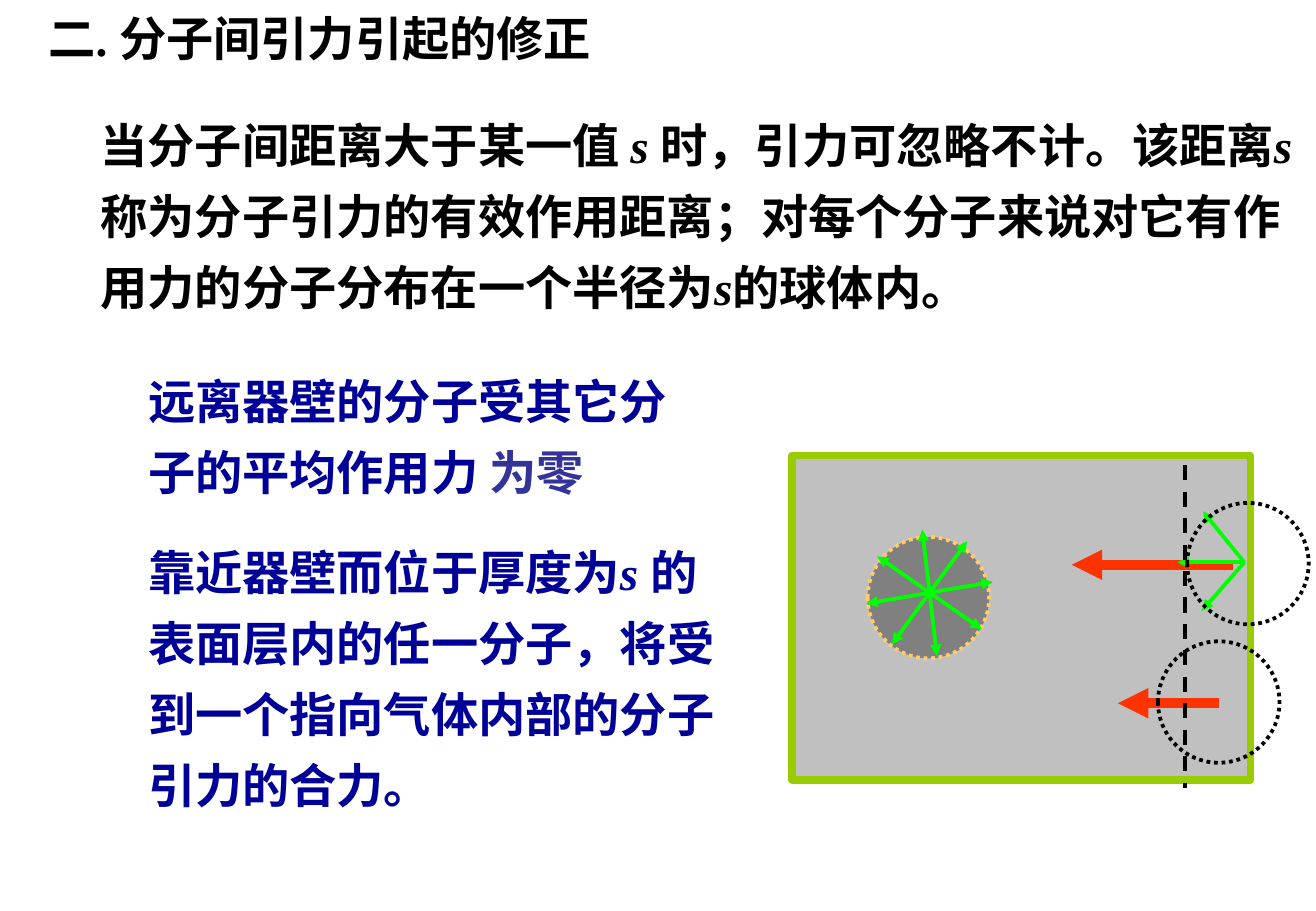
from dataclasses import dataclass

from lxml.etree import SubElement
from pptx import Presentation
from pptx.dml.color import RGBColor
from pptx.enum.dml import MSO_LINE
from pptx.enum.shapes import MSO_CONNECTOR, MSO_SHAPE
from pptx.enum.text import PP_ALIGN
from pptx.oxml.ns import qn
from pptx.util import Inches, Pt


@dataclass(frozen=True)
class Theme:
    latin: str = "Times New Roman"
    cjk: str = "Noto Sans CJK SC"
    size: float = 28
    leading: float = 1.25
    ink: str = "000000"
    navy: str = "000099"
    indigo: str = "333399"
    gas: str = "C0C0C0"
    wall: str = "99CC00"
    sphere: str = "808080"
    gold: str = "FFCC66"
    force: str = "00FF00"
    resultant: str = "FF3300"
    thin: float = 2.25
    frame: float = 4.5
    thick: float = 6


T = Theme()
CELL = 0.5  # inches; one cell is the radius of a sphere of action
COLS, ROWS = 21.66, 15


def cells(*lengths):
    return [Inches(n * CELL) for n in lengths]


def add_text(s, box, runs, color=T.ink, leading=T.leading):
    """Each run is (text, format), where format may hold italic and color."""
    tf = s.shapes.add_textbox(*cells(*box)).text_frame
    tf.word_wrap = True
    p = tf.paragraphs[0]
    p.alignment = PP_ALIGN.LEFT
    p.line_spacing = leading
    for text, fmt in runs:
        r = p.add_run()
        r.text = text
        r.font.size = Pt(T.size)
        r.font.bold = True
        r.font.italic = fmt.get("italic", False)
        r.font.color.rgb = RGBColor.from_string(fmt.get("color", color))
        r.font.name = T.latin
        SubElement(r.font._element, qn("a:ea"), typeface=T.cjk)


def add_outline(s, kind, box, line, width=T.thin, fill=None, dash=None):
    sp = s.shapes.add_shape(kind, *cells(*box))
    sp.shadow.inherit = False
    if fill:
        sp.fill.solid()
        sp.fill.fore_color.rgb = RGBColor.from_string(fill)
    else:
        sp.fill.background()
    sp.line.color.rgb = RGBColor.from_string(line)
    sp.line.width = Pt(width)
    if dash:
        sp.line.dash_style = dash


def add_sphere(s, x, y, line=T.ink, fill=None):
    add_outline(s, MSO_SHAPE.OVAL, (x - 1, y - 1, 2, 2), line, fill=fill,
                dash=MSO_LINE.ROUND_DOT)


def add_line(s, start, end, color, width=T.thin, ends=(), dash=None):
    """ends names the arrowheads: headEnd at start, tailEnd at end."""
    c = s.shapes.add_connector(MSO_CONNECTOR.STRAIGHT, *cells(*start, *end))
    c.line.color.rgb = RGBColor.from_string(color)
    c.line.width = Pt(width)
    if dash:
        c.line.dash_style = dash
    ln = c.line._get_or_add_ln()
    for name in ends:
        SubElement(ln, qn(f"a:{name}"), type="triangle")
    SubElement(c._element.spPr, qn("a:effectLst"))


def gas_diagram(s, left, top, width, height):
    def at(x, y):
        return left + x, top + y

    add_outline(s, MSO_SHAPE.RECTANGLE, (left, top, width, height), T.wall,
                T.frame, T.gas)

    add_sphere(s, *at(2.24, 2.34), T.gold, T.sphere)
    x, y = 2.26, 2.26
    for dx, dy in ((.86, .6), (1.04, -.18), (.62, -.85), (.12, 1.04)):
        add_line(s, at(x - dx, y - dy), at(x + dx, y + dy), T.force,
                 ends=("headEnd", "tailEnd"))

    for tail_x, tip_x, row in ((7.26, 4.6, 1.8), (7.02, 5.36, 4.08)):
        add_line(s, at(tail_x, row), at(tip_x, row), T.resultant, T.thick,
                 ("tailEnd",))
    for tip in ((6.76, .92), (6.74, 2.56), (6.34, 1.76)):
        add_line(s, at(7.44, 1.76), at(*tip), T.force, ends=("tailEnd",))

    add_line(s, at(6.46, .16), at(6.46, 5.48), T.ink, dash=MSO_LINE.DASH)
    for centre in ((7.5, 1.78), (7.02, 4.06)):
        add_sphere(s, *at(*centre))


def explanation(s, left, top, width):
    italic = {"italic": True}
    add_text(s, (left, top, width, 1.14),
             [("二. 分子间引力引起的修正", {})], leading=1)
    add_text(s, (left + .86, top + 1.52, width - .86, 3.7), [
        ("当分子间距离大于某一值 ", {}), ("s ", italic),
        ("时，引力可忽略不计。该距离", {}), ("s ", italic),
        ("称为分子引力的有效作用距离；对每个分子来说对它有作用力的分子分布在一个半径为", {}),
        ("s", italic), ("的球体内。", {})])
    add_text(s, (left + 1.64, top + 5.74, 9.38, 2.44), [
        ("远离器壁的分子受其它分子的平均作用力 ", {}),
        ("为零", {"color": T.indigo})], T.navy)
    add_text(s, (left + 1.64, top + 8.56, 9.84, 4.86), [
        ("靠近器壁而位于厚度为", {}), ("s ", italic),
        ("的表面层内的任一分子，将受到一个指向气体内部的分子引力的合力。", {})],
        T.navy)


def main():
    prs = Presentation()
    prs.slide_width, prs.slide_height = cells(COLS, ROWS)
    s = prs.slides.add_slide(prs.slide_layouts[6])
    gas_diagram(s, 13.04, 7.5, 7.54, 5.34)
    explanation(s, .6, .06, COLS - .6)
    prs.save("out.pptx")


if __name__ == "__main__":
    main()
